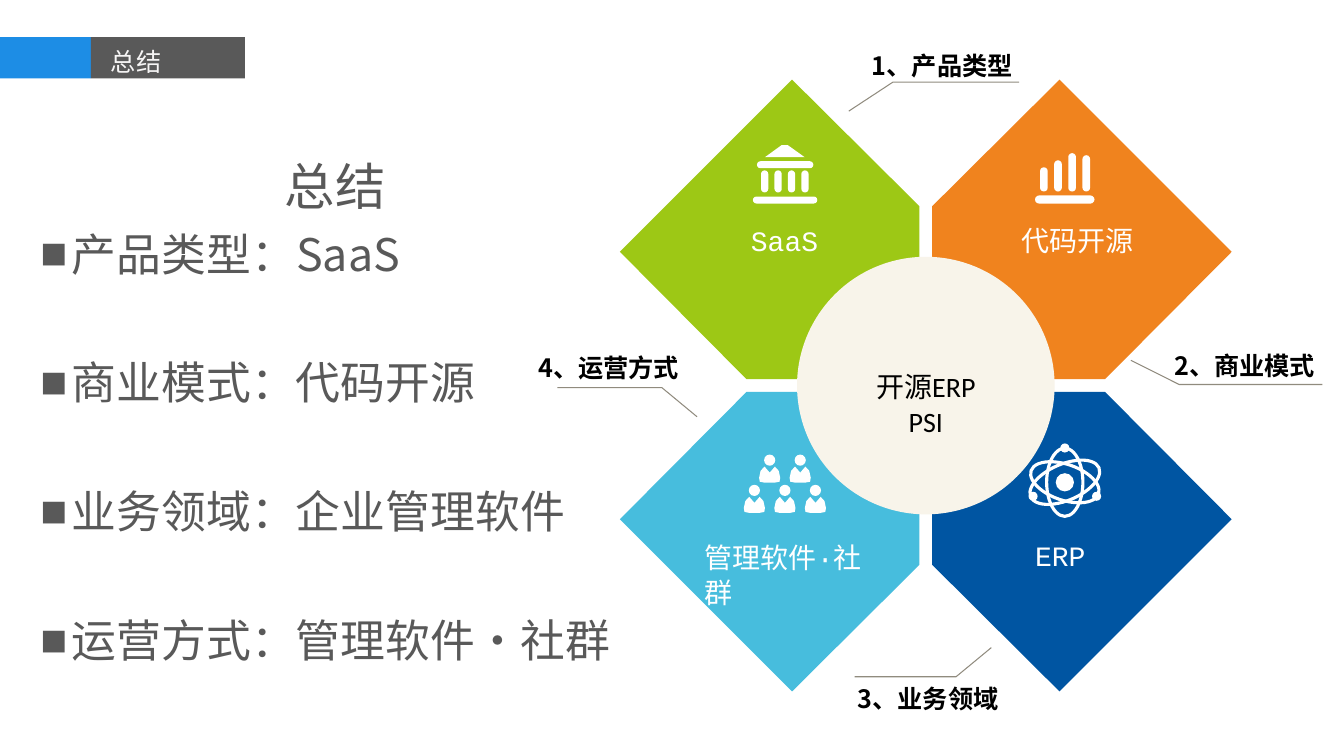
import pptx
import pptx.util
import pptx.dml.color
import pptx.enum.shapes
import pptx.enum.text
import pptx.oxml.ns
import lxml.etree

Pt = pptx.util.Pt
KIND = pptx.enum.shapes.MSO_SHAPE
ALIGN = pptx.enum.text.PP_ALIGN
ANCHOR = pptx.enum.text.MSO_ANCHOR

COLORS = {
    "blue": "1D8DE5", "gray": "595959", "header_text": "F6F5F5",
    "orange": "F0831E", "cyan": "47BDDD", "navy": "0055A2", "green": "9DC815",
    "cream": "F8F4EA", "leader": "908B7E", "white": "FFFFFF", "black": "000000",
}
CJK = "Noto Sans CJK SC"


def rgb(name):
    return pptx.dml.color.RGBColor.from_string(COLORS[name])


def put_text(frame, text, size=18, color="black", font=CJK, bold=False,
             align=ALIGN.LEFT, line=22, before=0, anchor=ANCHOR.TOP, add=False):
    """Write one paragraph per line of text; add=True keeps what is there."""
    frame.word_wrap = True
    frame.auto_size = pptx.enum.text.MSO_AUTO_SIZE.NONE
    frame.vertical_anchor = anchor
    for number, words in enumerate(text.split("\n")):
        new = add or number > 0
        paragraph = frame.add_paragraph() if new else frame.paragraphs[0]
        paragraph.alignment = align
        paragraph.line_spacing = Pt(line)
        paragraph.space_before, paragraph.space_after = Pt(before), Pt(0)
        run = paragraph.add_run()
        run.text = words
        run.font.size, run.font.bold, run.font.name = Pt(size), bold, font
        run.font.color.rgb = rgb(color)
        east_asian = lxml.etree.SubElement(run.font._element, pptx.oxml.ns.qn("a:ea"))
        east_asian.set("typeface", CJK)
    return paragraph


def text_box(slide, left, top, width, height, text, **style):
    box = slide.shapes.add_textbox(Pt(left), Pt(top), Pt(width), Pt(height))
    put_text(box.text_frame, text, **style)


def paint(shape, fill=None, outline=None, weight=0.75):
    shape.shadow.inherit = False
    if fill:
        shape.fill.solid()
        shape.fill.fore_color.rgb = rgb(fill)
    else:
        shape.fill.background()
    if outline:
        shape.line.color.rgb = rgb(outline)
        shape.line.width = Pt(weight)
    else:
        shape.line.fill.background()
    return shape


def preset(shapes, kind, left, top, width, height, **style):
    return paint(shapes.add_shape(kind, Pt(left), Pt(top), Pt(width), Pt(height)), **style)


def outline_shape(shapes, points, close=True, **style):
    points = [(Pt(x), Pt(y)) for x, y in points]
    builder = shapes.build_freeform(*points[0])
    builder.add_line_segments(points[1:], close=close)
    return paint(builder.convert_to_shape(), **style)


def pill(shapes, left, top, width, height):
    bar = preset(shapes, KIND.ROUNDED_RECTANGLE, left, top, width, height, fill="white")
    bar.adjustments[0] = 0.5


def move(shape, left, top, width, height):
    shape.left, shape.top = Pt(left), Pt(top)
    shape.width, shape.height = Pt(width), Pt(height)


# Header strip with the slide title
def draw_header(slide, left, top, height):
    preset(slide.shapes, KIND.RECTANGLE, left, top, 65, height, fill="blue")
    preset(slide.shapes, KIND.RECTANGLE, left + 65, top, 110, height, fill="gray")
    title = slide.shapes.title
    slide.shapes.element.append(title.element)
    move(title, left + 72, top + 1.5, 100, 28.8)
    put_text(title.text_frame, "总结", color="header_text", font="Calibri", line=23)


# Summary list
def draw_summary(slide, left, top, width, height):
    summary = slide.placeholders[1]
    move(summary, left, top, width, height)
    heading = put_text(summary.text_frame, "总结", size=36, color="gray",
                       align=ALIGN.CENTER, line=55.5)
    set_bullet(heading)
    for number, item in enumerate(["产品类型：SaaS", "商业模式：代码开源",
                                   "业务领域：企业管理软件", "运营方式：管理软件·社群"]):
        paragraph = put_text(summary.text_frame, item, size=32, color="gray", line=46,
                             before=46 if number else 0, add=True)
        set_bullet(paragraph, "■")


def set_bullet(paragraph, mark=None):
    properties = paragraph._p.get_or_add_pPr()
    properties.set("marL", str(Pt(22.5)))
    properties.set("indent", str(Pt(-22.5)))
    bullet = lxml.etree.SubElement(
        properties, pptx.oxml.ns.qn("a:buChar" if mark else "a:buNone"))
    if mark:
        bullet.set("char", mark)


# Icons, each placed from its top left corner
def draw_bank(shapes, x, y):
    outline_shape(shapes, [(x + 8.6, y + 8.6), (x + 20.5, y), (x + 25, y),
                           (x + 37, y + 8.6)], fill="white")
    pill(shapes, x + 2.9, y + 11.5, 40.3, 5)
    for column in range(4):
        pill(shapes, x + 5.8 + 9.6 * column, y + 18, 5.2, 15.8)
    pill(shapes, x, y + 36.7, 46, 5)


def draw_bars(shapes, x, y):
    for column, height in enumerate([17.3, 22.3, 27.4, 25.9]):
        pill(shapes, x + 3.6 + 10.1 * column, y + 27.4 - height, 5.5, height)
    pill(shapes, x, y + 30.2, 42.5, 5.8)


def draw_people(shapes, x, y):
    torso = [(3.9, 0), (7.6, 4.3), (11.3, 0), (14, 3), (15.1, 8), (14.6, 10.8),
             (11, 11.5), (4, 11.5), (0.5, 10.8), (0, 8), (1.1, 3)]
    for row, count in enumerate([2, 3]):
        for column in range(count):
            left = x + 21.8 * (column + (3 - count) / 2)
            top = y + 21.6 * row
            preset(shapes, KIND.OVAL, left + 3.6, top, 8, 8, fill="white")
            outline_shape(shapes, [(left + dx, top + 8.6 + dy) for dx, dy in torso],
                          fill="white")


def draw_atom(shapes, x, y):
    cx, cy = x + 26.3, y + 27.7
    for width, height, turn in [(25.9, 48.7, 0), (53, 26, -23), (51, 25.6, 19)]:
        orbit = preset(shapes, KIND.OVAL, cx - width / 2, cy - height / 2, width, height,
                       outline="white", weight=2.25)
        orbit.rotation = turn
    for dx, dy, size in [(0, 0, 13), (22.7, 10, 6.5), (-22.7, 10, 6.5), (0, -24.5, 6.5)]:
        preset(shapes, KIND.OVAL, cx + dx - size / 2, cy + dy - size / 2, size, size,
               fill="white")


# Four petals around a disc, with numbered callouts
def draw_wheel(slide, cx, cy):
    petal = [(4.5, 4.5), (128, 4.5), (218.5, 95.5), (95.5, 218.5), (4.5, 128)]
    quarters = [  # horizontal side, vertical side, fill, icon and its offset, caption and its box
        (1, -1, "orange", draw_bars, 78, -166, "代码开源", 61, -120, 95),
        (-1, 1, "cyan", draw_people, -130, 49.3, "管理软件·社群", -165, 106, 141),
        (1, 1, "navy", draw_atom, 73, 41.4, "ERP", 71, 105, 56),
        (-1, -1, "green", draw_bank, -123.5, -171.7, "SaaS", -132, -120, 64),
    ]
    for side_x, side_y, fill, *_ in quarters:
        outline_shape(slide.shapes, [(cx + side_x * x, cy + side_y * y) for x, y in petal],
                      fill=fill)

    disc = preset(slide.shapes, KIND.OVAL, cx - 92, cy - 92, 184, 184, fill="cream")
    disc.text_frame.margin_top = Pt(28)
    put_text(disc.text_frame, "开源ERP\nPSI", size=20, font="Calibri", align=ALIGN.CENTER,
             line=25, anchor=ANCHOR.MIDDLE)

    for _, _, _, icon, icon_x, icon_y, caption, x, y, width in quarters:
        icon(slide.shapes.add_group_shape().shapes, cx + icon_x, cy + icon_y)
        text_box(slide, cx + x, cy + y, width, 31.7, caption, size=20, color="white",
                 font="Courier New", line=25)

    callouts = [  # wording, offset of its box, points of its leader
        ("1、产品类型", -45.7, -243, [(-55, -196), (-23.5, -216.7), (66.6, -216.7)]),
        ("2、商业模式", 170.3, -28.4, [(146.5, -18), (181, -0.7), (283.3, -0.7)]),
        ("3、业务领域", -55.8, 209.2, [(46.8, 187.2), (21.6, 208), (-50.8, 208)]),
        ("4、运营方式", -284, -27, [(-163.4, 22.3), (-188.6, 1.4), (-263.2, 1.4)]),
    ]
    for wording, x, y, leader in callouts:
        outline_shape(slide.shapes, [(cx + dx, cy + dy) for dx, dy in leader],
                      close=False, outline="leader")
        text_box(slide, cx + x, cy + y, 116.6, 28.8, wording, bold=True, line=21.5)


def main():
    deck = pptx.Presentation()
    deck.slide_width, deck.slide_height = Pt(960), Pt(540)
    slide = deck.slides.add_slide(deck.slide_layouts[1])
    draw_header(slide, 0, 26.5, 29.5)
    draw_summary(slide, 21.6, 95, 435.6, 385)
    draw_wheel(slide, 661.3, 275.4)
    deck.save("out.pptx")


if __name__ == "__main__":
    main()
